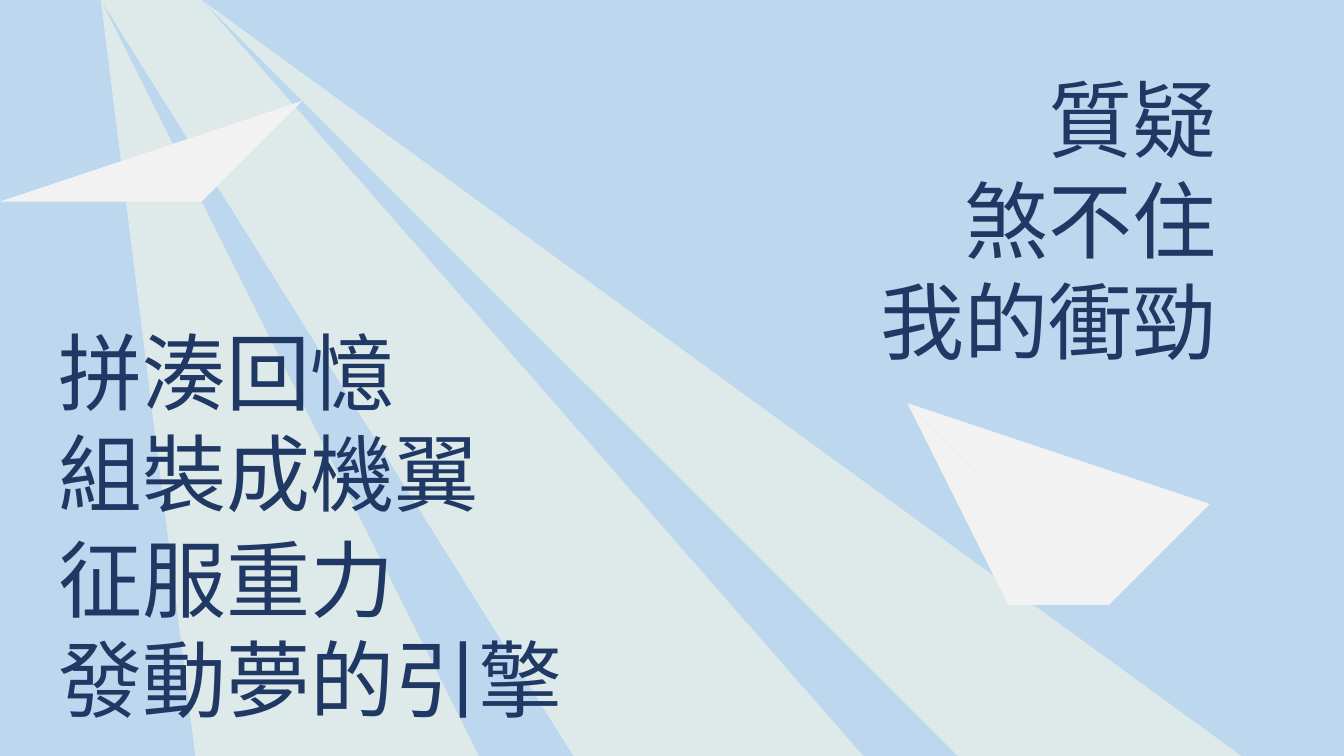
import pptx
import pptx.util
import pptx.dml.color
import pptx.enum.text
import pptx.oxml.ns
import lxml.etree

RGBColor = pptx.dml.color.RGBColor
PP_ALIGN = pptx.enum.text.PP_ALIGN
Inches = pptx.util.Inches

SKY = RGBColor(0xBD, 0xD7, 0xEE)
SUNLIGHT = RGBColor(0xFF, 0xFF, 0xE5)
INK = RGBColor(0x20, 0x38, 0x64)
PAPER = RGBColor(0xF2, 0xF2, 0xF2)
FOLD_LIGHT = RGBColor(0xD9, 0xD9, 0xD9)
FOLD_DARK = RGBColor(0xBF, 0xBF, 0xBF)

FONT = "Noto Sans CJK JP"
LYRIC_SIZE = 60
SUNLIGHT_OPACITY = 49  # percent
INCH = 914400

SUNBEAMS = [
    [(0.61, -0.03), (2.08, 7.79), (4.70, 7.78), (1.22, 0)],
    [(1.17, -0.10), (5.59, 7.60), (8.75, 7.56), (1.78, -0.06)],
    [(1.73, -0.10), (10.12, 7.70), (12.95, 7.72), (2.34, -0.06)],
]

# Paper plane, measured from its nose; every facet starts at the nose.
KEEL = (2.07, 1.95)
FAR_CREASE = (2.10, 1.36)
NEAR_CREASE = (1.87, 1.50)
NEAR_WINGTIP = (1.12, 1.83)
FAR_WINGTIP = (2.65, 1.11)
FACETS = [
    (KEEL, FAR_CREASE, FOLD_LIGHT),
    (KEEL, NEAR_CREASE, FOLD_DARK),
    (NEAR_WINGTIP, NEAR_CREASE, PAPER),
    (FAR_CREASE, FAR_WINGTIP, PAPER),
]
# Nose, horizontal scale (negative faces right), vertical scale
PLANES = [
    ((9.13, 4.26), 1, 1),
    ((2.54, 0.86), -0.82, 0.82),
]

# Left, top, width, height, alignment, lines
LYRICS = [
    (0.48, 3.13, 5.09, 2.12, PP_ALIGN.LEFT, ["拼湊回憶", "組裝成機翼"]),
    (0.48, 5.18, 7.21, 2.12, PP_ALIGN.LEFT, ["征服重力", "發動夢的引擎"]),
    (7.07, 0.62, 5.09, 3.13, PP_ALIGN.RIGHT, ["質疑", "煞不住", "我的衝勁"]),
]


def add_polygon(slide, points, color, opacity=100):
    builder = slide.shapes.build_freeform(*points[0], scale=INCH)
    builder.add_line_segments(points[1:], close=True)
    polygon = builder.convert_to_shape()
    polygon.shadow.inherit = False
    polygon.line.fill.background()
    polygon.fill.solid()
    polygon.fill.fore_color.rgb = color
    if opacity < 100:
        qn = pptx.oxml.ns.qn
        fill_color = polygon.fill._xPr.find(qn("a:solidFill"))[0]
        alpha = lxml.etree.SubElement(fill_color, qn("a:alpha"))
        alpha.set("val", str(opacity * 1000))


def add_plane(slide, nose, scale_x, scale_y):
    for first, second, color in FACETS:
        corners = [(nose[0] + x * scale_x, nose[1] + y * scale_y)
                   for x, y in (first, second)]
        add_polygon(slide, [nose, *corners], color)


def add_lyric(slide, left, top, width, height, alignment, lines):
    frame = slide.shapes.add_textbox(
        Inches(left), Inches(top), Inches(width), Inches(height)).text_frame
    frame.word_wrap = True
    frame.text = "\n".join(lines)
    for paragraph in frame.paragraphs:
        paragraph.alignment = alignment
        for run in paragraph.runs:
            run.font.size = pptx.util.Pt(LYRIC_SIZE)
            run.font.color.rgb = INK
            run.font.name = FONT
            east_asian = lxml.etree.SubElement(
                run.font._element, pptx.oxml.ns.qn("a:ea"))
            east_asian.set("typeface", FONT)


def main():
    deck = pptx.Presentation()
    deck.slide_width, deck.slide_height = Inches(13.33), Inches(7.5)
    slide = deck.slides.add_slide(deck.slide_layouts[6])
    slide.background.fill.solid()
    slide.background.fill.fore_color.rgb = SKY
    for beam in SUNBEAMS:
        add_polygon(slide, beam, SUNLIGHT, SUNLIGHT_OPACITY)
    for plane in PLANES:
        add_plane(slide, *plane)
    for lyric in LYRICS:
        add_lyric(slide, *lyric)
    deck.save("out.pptx")


if __name__ == "__main__":
    main()
